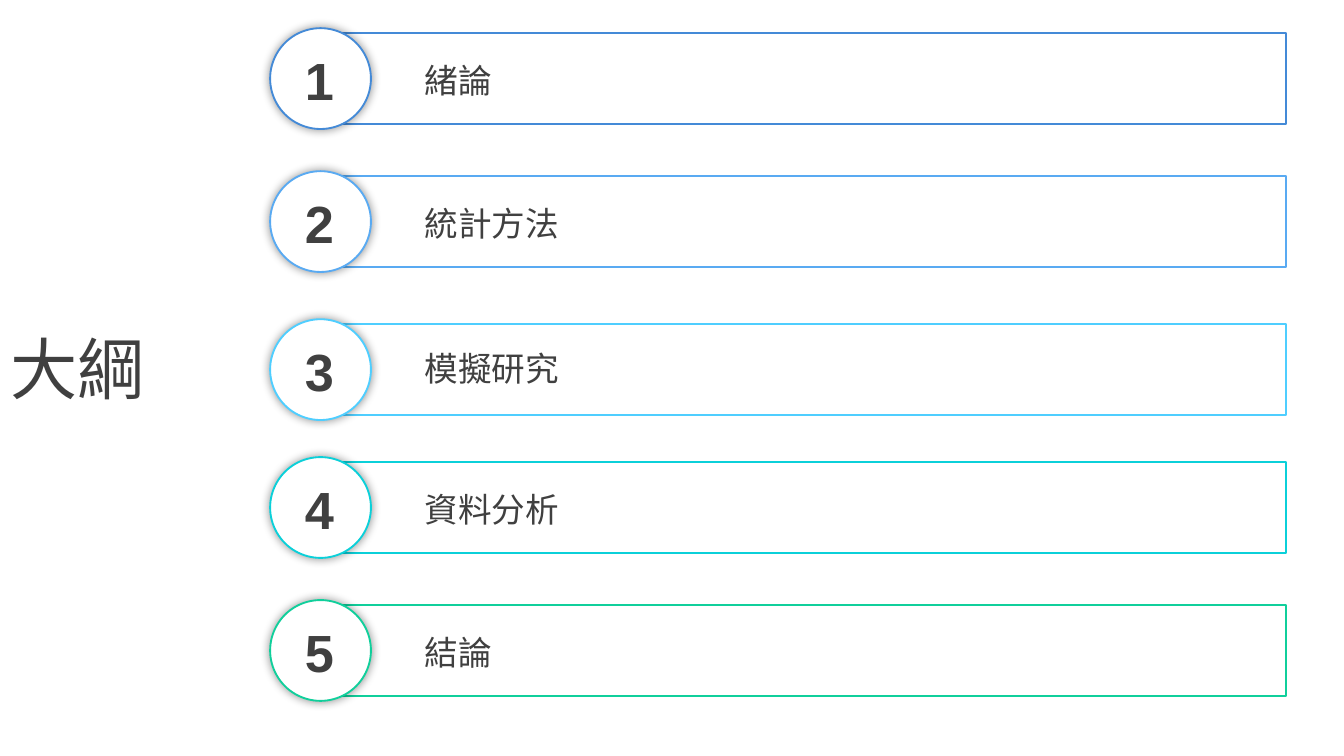
from dataclasses import dataclass

from lxml.etree import SubElement
from pptx import Presentation
from pptx.dml.color import RGBColor
from pptx.enum.shapes import MSO_SHAPE as Shape
from pptx.enum.text import MSO_ANCHOR as Anchor, PP_ALIGN as Align
from pptx.oxml.ns import qn
from pptx.util import Inches, Pt


@dataclass(frozen=True)
class Theme:
    text: str = "404040"
    paper: str = "FFFFFF"
    shadow: str = "000000"
    cjk: str = "Noto Sans CJK SC"
    latin: str = "Arial"
    title_size: int = 36
    number_size: int = 28
    label_size: int = 18
    line: int = 1


THEME = Theme()
SLIDE_W = 10
SLIDE_H = SLIDE_W * 9 / 16
ROW_LEFT, ROW_TOP, ROW_W, ROW_H = 2.01, 0.21, 7.56, 0.75
ROW_PITCH = 0.19 * SLIDE_H - 0.005

# Label, colour, row shift down, label shift within the row (shares of row height)
CHAPTERS = [
    ("緒論", "448AD7", 0, 0),
    ("統計方法", "59AAF2", 0, 0),
    ("模擬研究", "4FCEFF", 0.05, -0.03),
    ("資料分析", "0BD0D9", 0, 0),
    ("結論", "10CF9B", 0, 0),
]


def add_text(s, box, text, size, font, align=Align.LEFT, bold=False):
    tf = s.shapes.add_textbox(*map(Inches, box)).text_frame
    tf.word_wrap = True
    tf.vertical_anchor = Anchor.MIDDLE
    p = tf.paragraphs[0]
    p.alignment = align
    r = p.add_run()
    r.text = text
    r.font.size, r.font.name, r.font.bold = Pt(size), font, bold
    r.font.color.rgb = RGBColor.from_string(THEME.text)
    SubElement(r.font._element, qn("a:ea"), typeface=font)


def add_outline(s, kind, box, color):
    sp = s.shapes.add_shape(kind, *map(Inches, box))
    sp.shadow.inherit = False
    sp.fill.background()
    sp.line.color.rgb = RGBColor.from_string(color)
    sp.line.width = Pt(THEME.line)
    return sp


def add_glow_shadow(sp):
    """Soft shadow spread evenly around the shape."""
    effects = sp._element.spPr.find(qn("a:effectLst"))
    shadow = SubElement(effects, qn("a:outerShdw"), blurRad=str(Pt(5)),
                        dist="0", dir="0", algn="ctr", rotWithShape="0")
    color = SubElement(shadow, qn("a:srgbClr"), val=THEME.shadow)
    SubElement(color, qn("a:alpha"), val="40000")


def add_title(s, box):
    add_text(s, box, "大綱", THEME.title_size, THEME.cjk)


def add_chapter(s, box, number, label, color, label_shift):
    """Numbered disc over a bar; the disc diameter is the row's unit."""
    left, top, width, d = box

    def part(x, y, w, h):
        return left + x * d, top + y * d, w * d, h * d

    columns = width / d
    add_outline(s, Shape.RECTANGLE, part(0.5, 0.05, columns - 0.5, 0.9), color)
    add_text(s, part(1.4, 0.25 + label_shift, columns - 1.7, 0.53),
             label, THEME.label_size, THEME.cjk)
    disc = add_outline(s, Shape.OVAL, part(0, 0, 1, 1), color)
    disc.fill.solid()
    disc.fill.fore_color.rgb = RGBColor.from_string(THEME.paper)
    add_glow_shadow(disc)
    add_text(s, part(0.18, 0.13, 0.62, 0.76), str(number),
             THEME.number_size, THEME.latin, Align.CENTER, bold=True)


def main():
    prs = Presentation()
    prs.slide_width, prs.slide_height = Inches(SLIDE_W), Inches(SLIDE_H)
    s = prs.slides.add_slide(prs.slide_layouts[6])
    add_title(s, (-0.02, 0.43 * SLIDE_H, 1.26, 0.63))
    for i, (label, color, row_shift, label_shift) in enumerate(CHAPTERS):
        top = ROW_TOP + i * ROW_PITCH + row_shift * ROW_H
        add_chapter(s, (ROW_LEFT, top, ROW_W, ROW_H), i + 1, label, color, label_shift)
    prs.save("out.pptx")


if __name__ == "__main__":
    main()
